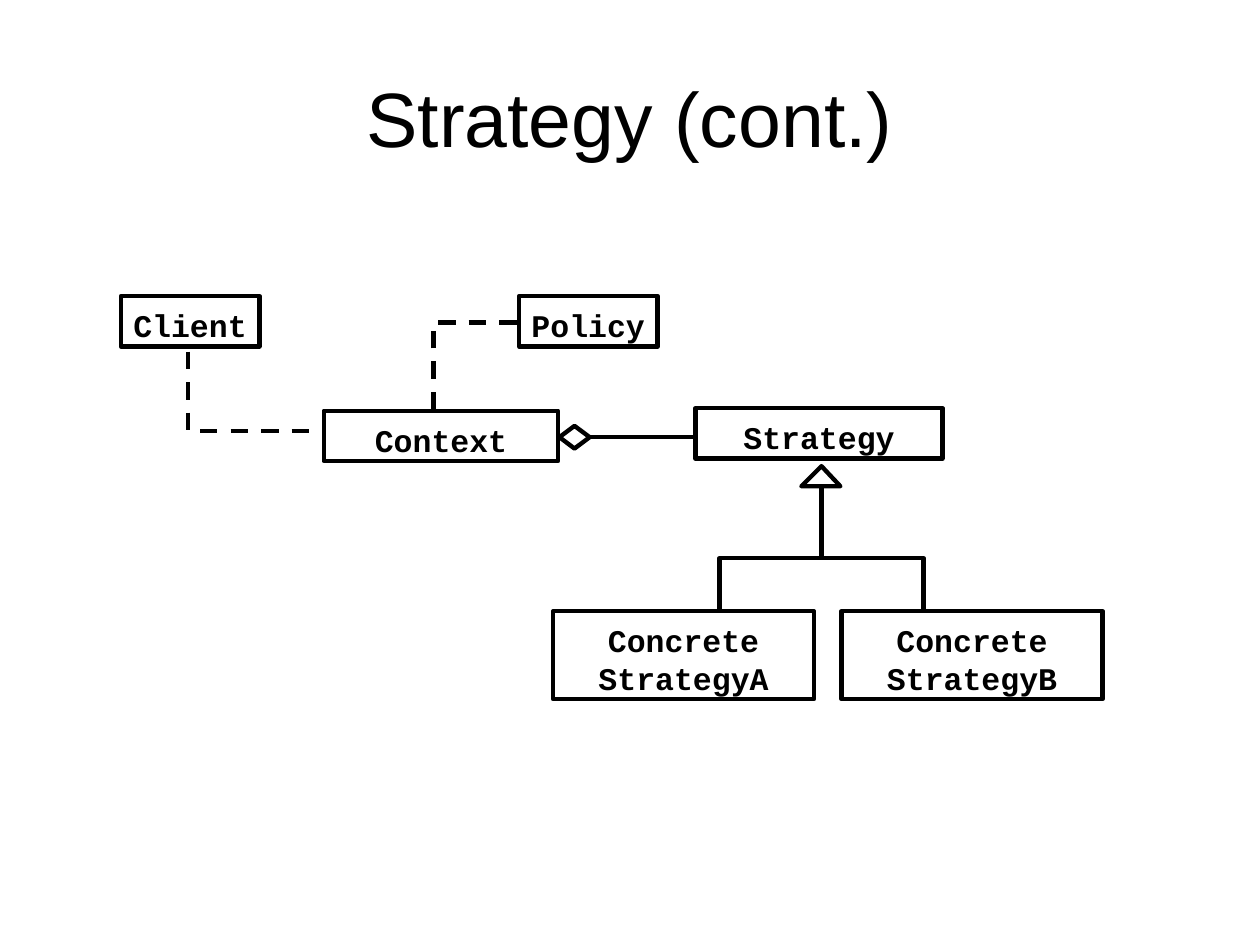
from dataclasses import dataclass

from lxml.etree import SubElement
from pptx import Presentation
from pptx.dml.color import RGBColor
from pptx.enum.dml import MSO_LINE
from pptx.enum.shapes import MSO_CONNECTOR, MSO_SHAPE
from pptx.enum.text import MSO_ANCHOR, PP_ALIGN
from pptx.oxml.ns import qn
from pptx.util import Inches, Pt


@dataclass(frozen=True)
class Theme:
    ink: RGBColor = RGBColor(0, 0, 0)
    title_font: str = "Arial"
    title_size: Pt = Pt(44)
    class_font: str = "Courier New"
    class_size: Pt = Pt(18)
    class_leading: Pt = Pt(21.6)
    line_width: Pt = Pt(2.5)


THEME = Theme()


def style_line(line, dashed=False):
    line.color.rgb = THEME.ink
    line.width = THEME.line_width
    if dashed:
        line.dash_style = MSO_LINE.DASH


def style_font(font, name, size, bold=False):
    font.name = name
    font.size = size
    font.bold = bold
    font.color.rgb = THEME.ink


def add_title(s, text):
    sp = s.shapes.add_textbox(Inches(0.5), Inches(0.3), Inches(9), Inches(1.25))
    tf = sp.text_frame
    tf.word_wrap = True
    tf.vertical_anchor = MSO_ANCHOR.MIDDLE
    p = tf.paragraphs[0]
    p.text = text
    p.alignment = PP_ALIGN.CENTER
    style_font(p.font, THEME.title_font, THEME.title_size)


def add_class(s, lines, left, top, width, wrap=True):
    height = 0.1 + 0.3 * len(lines)
    sp = s.shapes.add_shape(MSO_SHAPE.RECTANGLE, Inches(left), Inches(top),
                            Inches(width), Inches(height))
    sp.shadow.inherit = False
    sp.fill.background()
    style_line(sp.line)
    tf = sp.text_frame
    tf.word_wrap = wrap
    tf.vertical_anchor = MSO_ANCHOR.TOP
    tf.margin_top = Inches(0.08)
    tf.margin_bottom = Inches(0.02)
    for i, line in enumerate(lines):
        p = tf.add_paragraph() if i else tf.paragraphs[0]
        p.text = line
        p.alignment = PP_ALIGN.CENTER if wrap else PP_ALIGN.LEFT
        p.line_spacing = THEME.class_leading
        style_font(p.font, THEME.class_font, THEME.class_size, bold=True)


def add_path(s, points, close=False, dashed=False):
    start, *rest = [(Inches(x), Inches(y)) for x, y in points]
    builder = s.shapes.build_freeform(*start)
    builder.add_line_segments(rest, close=close)
    sp = builder.convert_to_shape()
    sp.shadow.inherit = False
    sp.fill.background()
    style_line(sp.line, dashed)


def add_line(s, x1, y1, x2, y2):
    sp = s.shapes.add_connector(MSO_CONNECTOR.STRAIGHT, Inches(x1), Inches(y1),
                                Inches(x2), Inches(y2))
    style_line(sp.line)
    SubElement(sp._element.spPr, qn("a:effectLst"))


def main():
    prs = Presentation()
    prs.slide_width = Inches(10)
    prs.slide_height = Inches(7.5)
    s = prs.slides.add_slide(prs.slide_layouts[6])

    add_title(s, "Strategy (cont.)")
    add_class(s, ["Client"], 0.96, 2.35, 1.1, wrap=False)
    add_class(s, ["Policy"], 4.12, 2.35, 1.1, wrap=False)
    add_class(s, ["Context"], 2.57, 3.26, 1.86)
    add_class(s, ["Strategy"], 5.52, 3.24, 1.96)
    for variant, left in (("A", 4.39), ("B", 6.68)):
        add_class(s, ["Concrete", f"Strategy{variant}"], left, 4.85, 2.07)

    add_path(s, [(1.49, 2.79), (1.49, 3.42), (2.56, 3.42)], dashed=True)
    add_path(s, [(3.44, 3.25), (3.44, 2.56), (4.1, 2.56)], dashed=True)
    add_path(s, [(4.44, 3.47), (4.56, 3.38), (4.68, 3.47), (4.56, 3.56)], close=True)
    add_line(s, 4.68, 3.47, 5.51, 3.47)
    add_path(s, [(6.36, 3.86), (6.52, 3.7), (6.67, 3.86)], close=True)
    add_line(s, 6.52, 3.86, 6.52, 4.43)
    add_path(s, [(5.71, 4.85), (5.71, 4.43), (7.33, 4.43), (7.33, 4.85)])

    prs.save("out.pptx")


if __name__ == "__main__":
    main()
